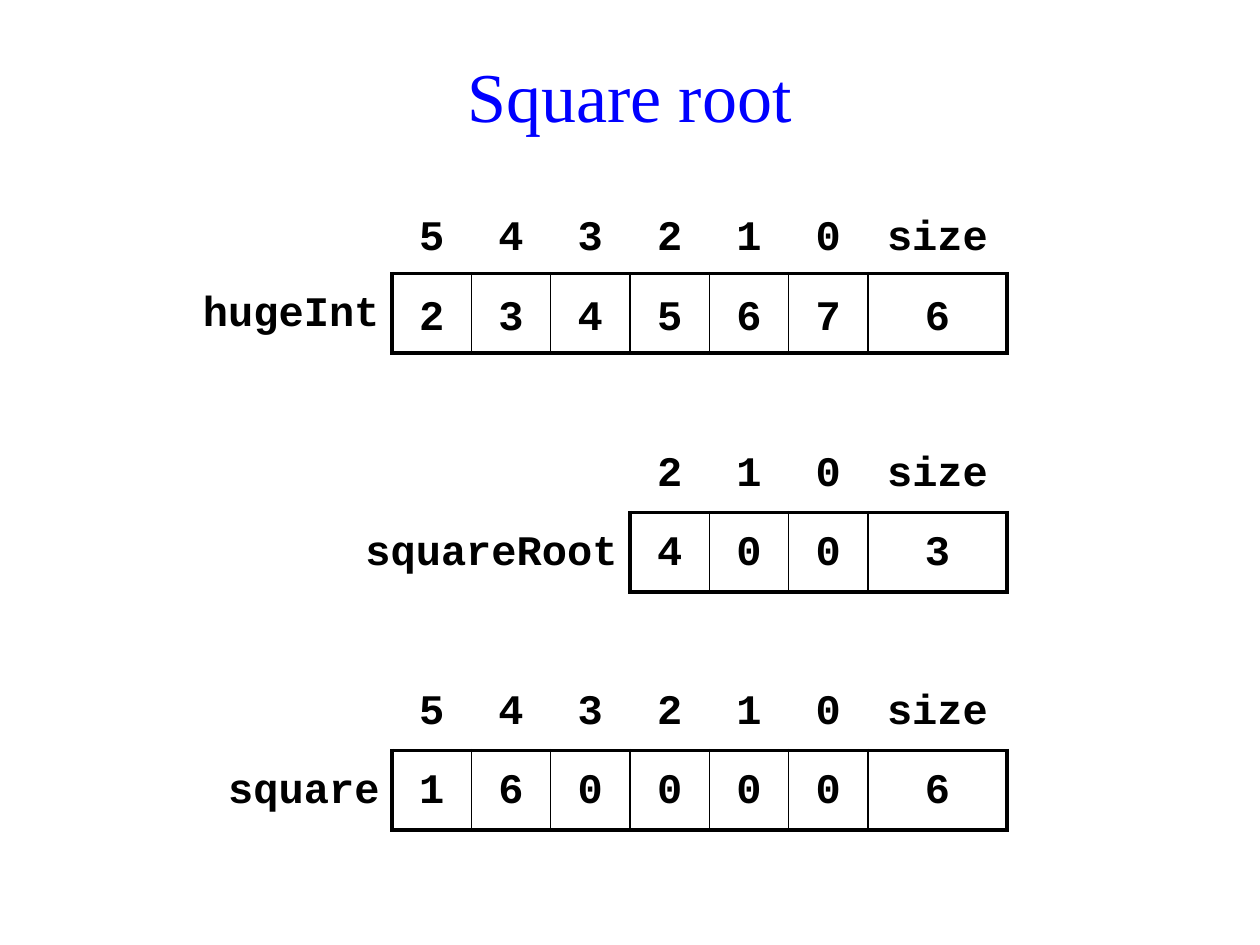
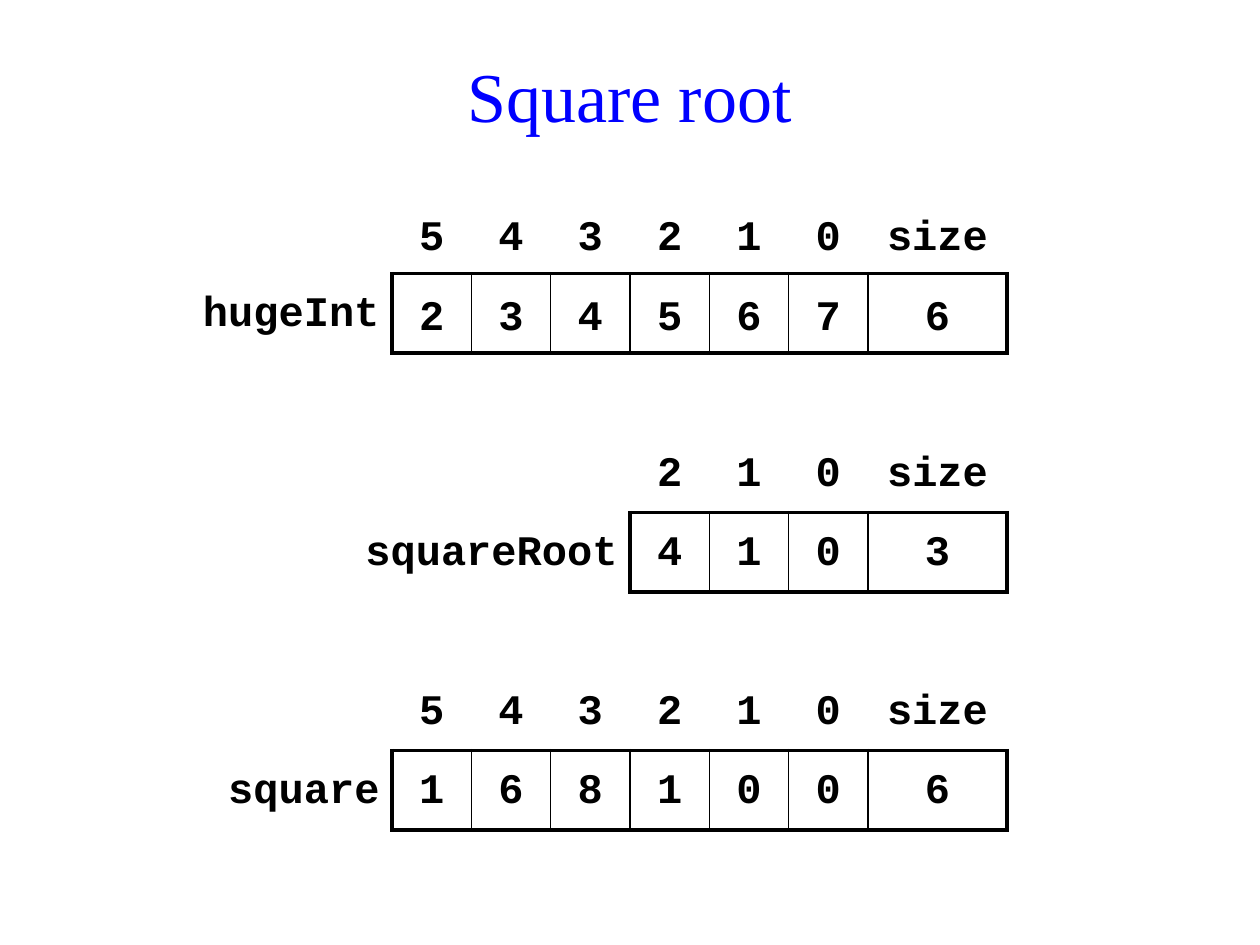
"""Build two slides that show the digit arrays of a square root search."""
from lxml import etree
from pptx import Presentation
from pptx.dml.color import RGBColor
from pptx.enum.text import MSO_ANCHOR, PP_ALIGN
from pptx.oxml.ns import qn
from pptx.util import Inches, Pt

CENTER, RIGHT = PP_ALIGN.CENTER, PP_ALIGN.RIGHT
TOP, MIDDLE = MSO_ANCHOR.TOP, MSO_ANCHOR.MIDDLE

PIXELS_PER_INCH = 126
TITLE_ONLY_LAYOUT = 5
BLACK, BLUE = "000000", "0000FF"
TITLE_FONT, CODE_FONT = "Times New Roman", "Courier New"
THICK, THIN = 2.25, 1

TABLE_RIGHT = 1007
SIX_DIGITS_WIDTH = 476
SIZE_WIDTH = 139
TWO_ROWS_HEIGHT = 159

HUGE_INT = {"name": "hugeInt", "digits": "234567", "top": 194,
            "name_width": 218, "anchor": MIDDLE}
SQUARE_ROOT = {"name": "squareRoot", "top": 433, "name_width": 280}
SQUARE = {"name": "square", "top": 671, "name_width": 179}
STEPS = [("400", "160000"), ("410", "168100")]


def px(pixels):
    """Turn pixels into EMU."""
    return round(Inches(pixels / PIXELS_PER_INCH))


def color(hex_code):
    """Turn a hex string into a colour."""
    return RGBColor.from_string(hex_code)


def write_text(text_frame, text, font=CODE_FONT, size=24, bold=True, fill=BLACK,
               align=CENTER, spacing=1.25):
    """Write one formatted paragraph into a text frame."""
    paragraph = text_frame.paragraphs[0]
    paragraph.alignment = align
    paragraph.line_spacing = spacing
    run = paragraph.add_run()
    run.text = text
    run.font.name = font
    run.font.size = Pt(size)
    run.font.bold = bold
    run.font.color.rgb = color(fill)


def set_borders(cell, **widths):
    """Draw the given sides (L, R, T, B) of a cell and hide the others."""
    properties = cell._tc.get_or_add_tcPr()
    for side in "LRTB":
        line = etree.SubElement(properties, qn(f"a:ln{side}"))
        if side in widths:
            line.set("w", str(Pt(widths[side])))
            solid = etree.SubElement(line, qn("a:solidFill"))
            etree.SubElement(solid, qn("a:srgbClr")).set("val", BLACK)
        else:
            etree.SubElement(line, qn("a:noFill"))


def format_cell(cell, text, borders, align=CENTER, anchor=TOP):
    """Fill one cell with text and set its borders."""
    set_borders(cell, **borders)
    cell.fill.background()
    cell.vertical_anchor = anchor
    if text:
        write_text(cell.text_frame, text, align=align)


def add_digit_array(slide, name, digits, top, name_width, anchor=TOP):
    """Add a named digit array with its indexes above and its size at the end."""
    count = len(digits)
    digit_width = px(SIX_DIGITS_WIDTH) // 6
    widths = [px(name_width)] + [digit_width] * count + [px(SIZE_WIDTH)]
    table = slide.shapes.add_table(2, len(widths), px(TABLE_RIGHT) - sum(widths), px(top),
                                   sum(widths), px(TWO_ROWS_HEIGHT)).table
    table.first_row = table.horz_banding = False
    for column, width in zip(table.columns, widths):
        column.width = width

    format_cell(table.cell(0, 0), "", {})
    format_cell(table.cell(1, 0), name, {"R": THICK}, align=RIGHT)
    headings = [str(index) for index in reversed(range(count))] + ["size"]
    values = [*digits, str(count)]
    for column, (heading, value) in enumerate(zip(headings, values), start=1):
        box = {"L": THICK if column == 1 else THIN,
               "R": THICK if column == len(values) else THIN,
               "T": THICK, "B": THICK}
        format_cell(table.cell(0, column), heading, {"B": THICK}, anchor=anchor)
        format_cell(table.cell(1, column), value, box, anchor=anchor)


def add_title(slide, text):
    """Place and format the slide title."""
    title = slide.shapes.title
    title.left, title.top, title.width, title.height = map(px, (74, 36, 1111, 117))
    title.text_frame.vertical_anchor = MIDDLE
    write_text(title.text_frame, text, font=TITLE_FONT, size=40, bold=False,
               fill=BLUE, spacing=1.0)


def add_step_slide(presentation, root, square):
    """Add a slide for one step of the search."""
    slide = presentation.slides.add_slide(presentation.slide_layouts[TITLE_ONLY_LAYOUT])
    add_title(slide, "Square root")
    add_digit_array(slide, **HUGE_INT)
    add_digit_array(slide, digits=root, **SQUARE_ROOT)
    add_digit_array(slide, digits=square, **SQUARE)


def main():
    """Build and save the presentation."""
    presentation = Presentation()
    presentation.slide_width, presentation.slide_height = px(1260), px(945)
    for root, square in STEPS:
        add_step_slide(presentation, root, square)
    presentation.save("out.pptx")


main()
